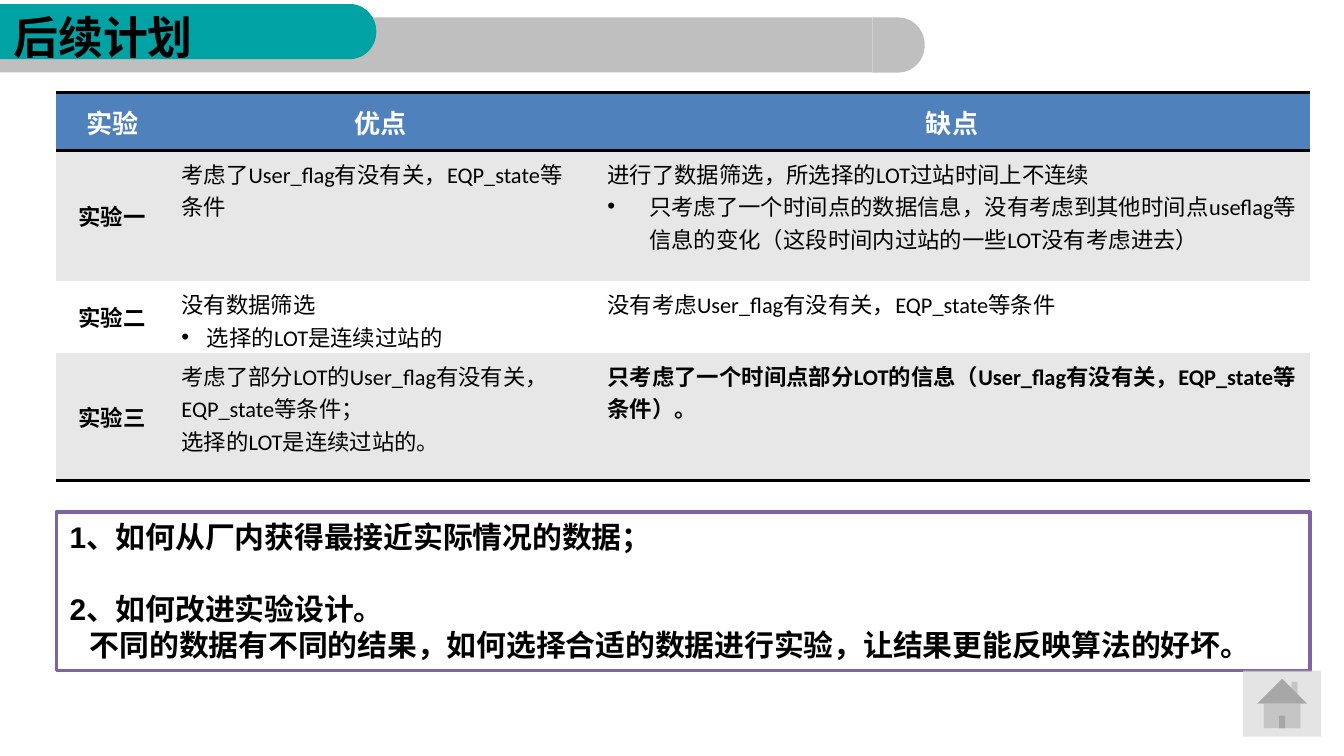
from lxml.etree import SubElement
from pptx import Presentation
from pptx.dml.color import RGBColor
from pptx.enum.shapes import MSO_SHAPE
from pptx.enum.text import MSO_ANCHOR, MSO_AUTO_SIZE, PP_ALIGN
from pptx.oxml import parse_xml
from pptx.oxml.ns import nsdecls, qn
from pptx.util import Inches, Pt

COLORS = {
    "teal": "00A2A3", "gray": "BFBFBF", "button": "D9D9D9",
    "header": "4F81BD", "band": "E7E7E7", "frame": "8064A2",
    "white": "FFFFFF", "black": "000000",
}
SLIDE_WIDTH = 10
HEADERS = ["实验", "优点", "缺点"]
BULLET = "• "  # marks bulleted entries in the table content
ROWS = [
    ("实验一", ["考虑了User_flag有没有关，EQP_state等条件"],
     ["进行了数据筛选，所选择的LOT过站时间上不连续",
      BULLET + "只考虑了一个时间点的数据信息，没有考虑到其他时间点useflag等信息的变化"
      "（这段时间内过站的一些LOT没有考虑进去）"]),
    ("实验二", ["没有数据筛选", BULLET + "选择的LOT是连续过站的"],
     ["没有考虑User_flag有没有关，EQP_state等条件"]),
    ("实验三", ["考虑了部分LOT的User_flag有没有关，EQP_state等条件；",
             "选择的LOT是连续过站的。"],
     ["只考虑了一个时间点部分LOT的信息（User_flag有没有关，EQP_state等条件）。"]),
]
COLUMN_WIDTHS = [0.83, 3.17, 5.33]
ROW_HEIGHTS = [0.43, 0.97, 0.53, 0.95]
BULLET_INDENTS = [0, 0.19, 0.31]
QUESTIONS = [
    "1、如何从厂内获得最接近实际情况的数据；",
    "2、如何改进实验设计。",
    "不同的数据有不同的结果，如何选择合适的数据进行实验，让结果更能反映算法的好坏。",
]


def rgb(name):
    return RGBColor.from_string(COLORS[name])


def set_font(paragraph, name, size, color="black", bold=False):
    font = paragraph.font
    font.name, font.size, font.bold = name, Pt(size), bold
    font.color.rgb = rgb(color)


def add_block(slide, preset, left, top, width, height, color):
    shape = slide.shapes.add_shape(
        preset, Inches(left), Inches(top), Inches(width), Inches(height))
    shape.shadow.inherit = False
    shape.fill.solid()
    shape.fill.fore_color.rgb = rgb(color)
    shape.line.fill.background()
    return shape


def add_tab(slide, top, width, color):
    """A bar from the left slide edge with a rounded right end."""
    add_block(slide, MSO_SHAPE.FLOWCHART_DELAY, width, top, 0.39, 0.41, color)
    add_block(slide, MSO_SHAPE.RECTANGLE, 0, top, width, 0.41, color)


def set_title(slide, text):
    title = slide.shapes.title
    title.left, title.top = Inches(0), Inches(0)
    title.width, title.height = Inches(2.92), Inches(0.54)
    frame = title.text_frame
    frame.text = text
    frame.auto_size = MSO_AUTO_SIZE.NONE
    frame.vertical_anchor = MSO_ANCHOR.MIDDLE
    frame.paragraphs[0].alignment = PP_ALIGN.LEFT
    set_font(frame.paragraphs[0], "Calibri", 24, bold=True)
    slide.shapes._spTree.append(title._element)  # in front of the bars


def set_indent(paragraph, left, hanging=0):
    properties = paragraph._p.get_or_add_pPr()
    properties.set("marL", str(Inches(left)))
    properties.set("indent", str(-Inches(hanging)))
    return properties


def set_borders(cell, ruled_sides):
    properties = cell._tc.get_or_add_tcPr()
    for index, side in enumerate("LRTB"):
        if side in ruled_sides:
            paint = f'<a:solidFill><a:srgbClr val="{COLORS["black"]}"/></a:solidFill>'
        else:
            paint = "<a:noFill/>"
        properties.insert(index, parse_xml(
            f'<a:ln{side} {nsdecls("a")} w="{Pt(2)}">{paint}</a:ln{side}>'))


def fill_cell(cell, lines, fill, ruled_sides, size=12, color="black",
              bold=False, centered=False, bullet_indent=0):
    cell.fill.solid()
    cell.fill.fore_color.rgb = rgb(fill)
    set_borders(cell, ruled_sides)
    cell.margin_bottom = Inches(0.05 if centered else 0)
    cell.vertical_anchor = MSO_ANCHOR.MIDDLE if centered else MSO_ANCHOR.TOP
    cell.text = "\n".join(line.removeprefix(BULLET) for line in lines)
    for paragraph, line in zip(cell.text_frame.paragraphs, lines):
        if line.startswith(BULLET):
            properties = set_indent(paragraph, bullet_indent, bullet_indent)
            SubElement(properties, qn("a:buFont"), typeface="Arial")
            SubElement(properties, qn("a:buChar"), char="•")
        paragraph.alignment = PP_ALIGN.CENTER if centered else PP_ALIGN.LEFT
        set_font(paragraph, "Calibri", size, color, bold)


def add_comparison(slide):
    table = slide.shapes.add_table(
        len(ROW_HEIGHTS), len(COLUMN_WIDTHS), Inches(0.42), Inches(0.69),
        Inches(sum(COLUMN_WIDTHS)), Inches(sum(ROW_HEIGHTS))).table
    table.first_row = table.horz_banding = False
    for column, width in zip(table.columns, COLUMN_WIDTHS):
        column.width = Inches(width)
    for row, height in zip(table.rows, ROW_HEIGHTS):
        row.height = Inches(height)

    for column, header in enumerate(HEADERS):
        fill_cell(table.cell(0, column), [header], "header", "TB", size=14,
                  color="white", bold=True, centered=True)
    last = len(ROWS)
    for row, (label, *texts) in enumerate(ROWS, start=1):
        fill = "band" if row % 2 else "white"
        sides = {1: "T", last: "B"}.get(row, "")
        fill_cell(table.cell(row, 0), [label], fill, sides,
                  bold=True, centered=True)
        for column, lines in enumerate(texts, start=1):
            fill_cell(table.cell(row, column), lines, fill, sides,
                      bold=(row, column) == (last, 2),
                      bullet_indent=BULLET_INDENTS[column])


def add_questions(slide):
    box = add_block(slide, MSO_SHAPE.RECTANGLE, 0.42, 3.81, 9.33, 1.18, "white")
    box.line.color.rgb = rgb("frame")
    box.line.width = Pt(2)
    frame = box.text_frame
    frame.word_wrap = True
    frame.vertical_anchor = MSO_ANCHOR.TOP
    frame.text = "\n".join(QUESTIONS)
    for paragraph in frame.paragraphs:
        paragraph.alignment = PP_ALIGN.LEFT
        paragraph.line_spacing = Pt(19.3)
        set_font(paragraph, "Arial", 16, bold=True)
    frame.paragraphs[1].space_before = Pt(19.3)
    set_indent(frame.paragraphs[2], 0.15)


def add_home_button(slide):
    button = add_block(slide, MSO_SHAPE.ACTION_BUTTON_HOME,
                       9.25, 4.99, 0.58, 0.49, "button")
    color = button._element.spPr.find(qn("a:solidFill")).find(qn("a:srgbClr"))
    SubElement(color, qn("a:alpha"), val="70000")


def main():
    presentation = Presentation()
    presentation.slide_width = Inches(SLIDE_WIDTH)
    presentation.slide_height = Inches(SLIDE_WIDTH * 9 / 16)
    slide = presentation.slides.add_slide(presentation.slide_layouts[5])
    # Title band
    add_tab(slide, 0.13, 6.49, "gray")
    add_tab(slide, 0.03, 2.41, "teal")
    set_title(slide, "后续计划")
    # Content
    add_questions(slide)
    add_comparison(slide)
    add_home_button(slide)
    presentation.save("out.pptx")


if __name__ == "__main__":
    main()
